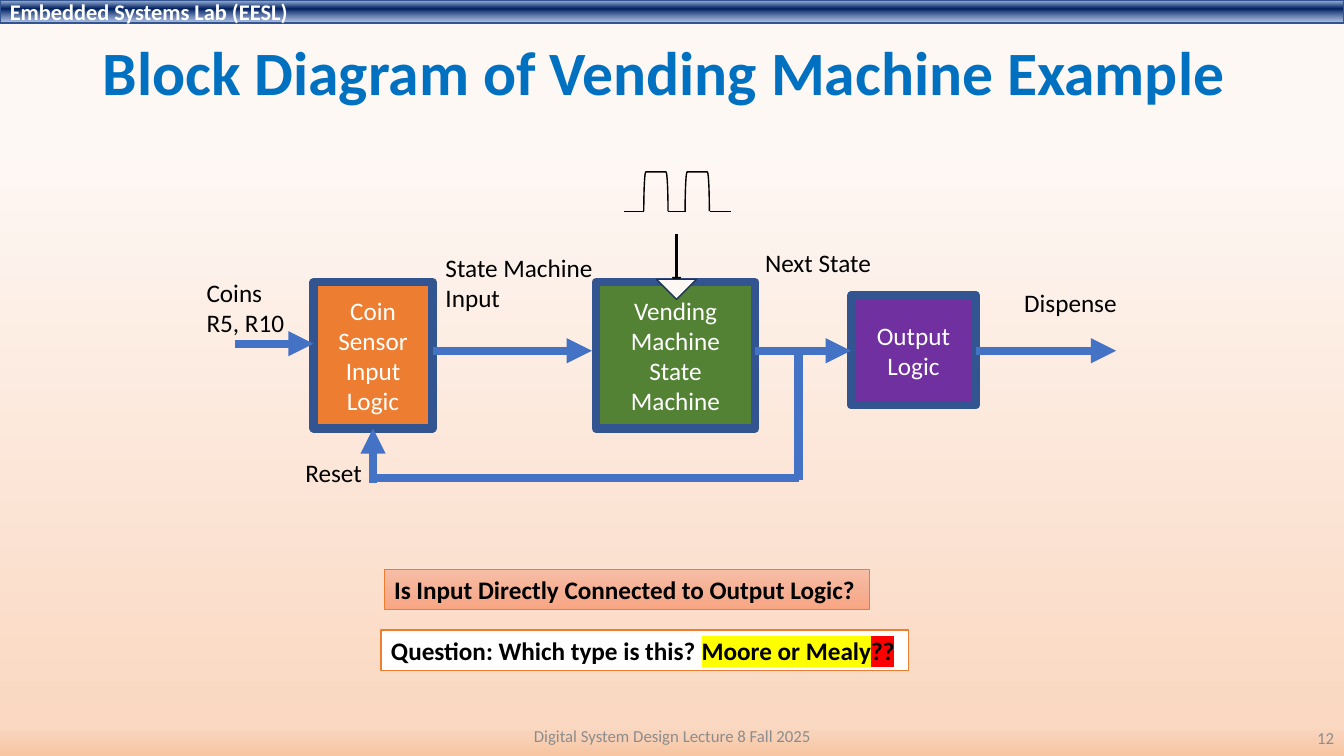
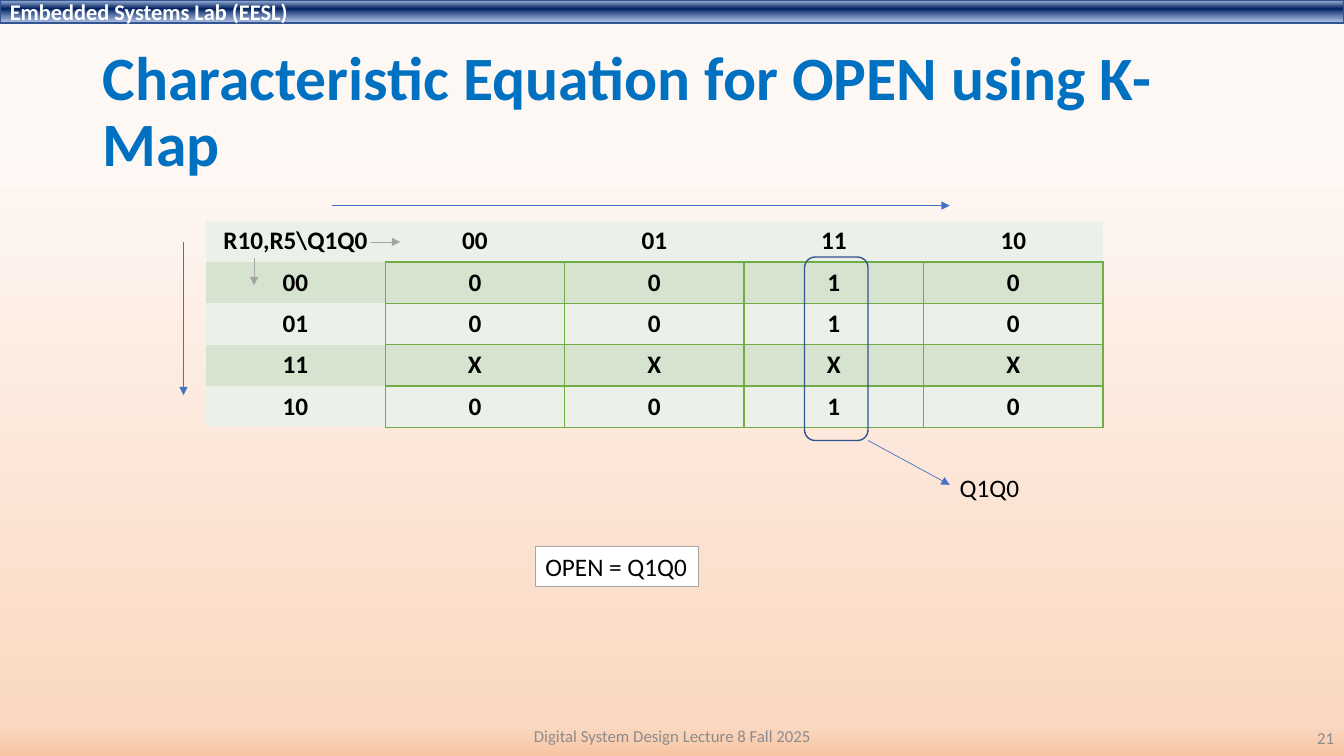
import pptx
import pptx.dml.color
import pptx.enum.shapes
import pptx.enum.text
import pptx.oxml.ns
import pptx.util
from lxml import etree

Inches, Pt, qn = pptx.util.Inches, pptx.util.Pt, pptx.oxml.ns.qn
SHAPE = pptx.enum.shapes.MSO_SHAPE
ANCHOR = pptx.enum.text.MSO_ANCHOR
ALIGN = pptx.enum.text.PP_ALIGN

FONT = "Calibri"
BLACK, WHITE, GRAY, FOOTER = "000000", "FFFFFF", "A5A5A5", "8C8C8C"
TITLE, BLUE, EDGE, ORANGE, GREEN = "0070C0", "4472C4", "325491", "ED7D31", "70AD47"
ROW_FILLS = ["EBF1E9", "D5E3CF"]
PAGE_STOPS = [(19, "FEF8F5", 97), (96, "FAD8C1", 100), (100, "F7C5A2", 100)]
BAND_STOPS = [(2, "ABC0E4", 100), (38, "002060", 100), (93, "7E9ED6", 64)]
NOTE_STOPS = [(0, "F7BDA5", 100), (50, "F5B196", 100), (100, "F8A582", 100)]


def rgb(color):
    return pptx.dml.color.RGBColor.from_string(color)


def sub(parent, tag, **attrs):
    return etree.SubElement(parent, qn(tag), attrs)


def gradient(fill, root, stops):
    """Fill top to bottom with (percent, colour, opacity) stops; root holds the fill."""
    fill.gradient()
    fill.gradient_angle = 270
    gs_list = next(root.iter(qn("a:gsLst")))
    for gs in list(gs_list):
        gs_list.remove(gs)
    for pos, color, opacity in stops:
        gs = sub(gs_list, "a:gs", pos=str(pos * 1000))
        clr = sub(gs, "a:srgbClr", val=color)
        if opacity < 100:
            sub(clr, "a:alpha", val=str(opacity * 1000))


def write(tf, text, size=18, color=BLACK, bold=False, align=ALIGN.LEFT,
          anchor=ANCHOR.TOP, wrap=True, spacing=None):
    """Text is a string, or a list of (text, highlight) runs for one paragraph."""
    tf.word_wrap = wrap
    tf.vertical_anchor = anchor
    if not wrap:
        tf.auto_size = pptx.enum.text.MSO_AUTO_SIZE.SHAPE_TO_FIT_TEXT
    lines = [[(t, None)] for t in text.split("\n")] if isinstance(text, str) else [text]
    for i, runs in enumerate(lines):
        p = tf.add_paragraph() if i else tf.paragraphs[0]
        p.alignment = align
        if spacing:
            p.line_spacing = spacing
        for run_text, highlight in runs:
            r = p.add_run()
            r.text = run_text
            r.font.size, r.font.bold = Pt(size), bold
            r.font.color.rgb = rgb(color)
            if highlight:
                sub(sub(r.font._element, "a:highlight"), "a:srgbClr", val=highlight)
            r.font.name = FONT


def label(s, x, y, w, h, text, **fmt):
    tb = s.shapes.add_textbox(Inches(x), Inches(y), Inches(w), Inches(h))
    write(tb.text_frame, text, **fmt)


def shape(s, kind, x, y, w, h, fill=None, line=EDGE, width=1.0, rotation=0):
    """Fill is a colour, a list of gradient stops or None."""
    sp = s.shapes.add_shape(kind, Inches(x), Inches(y), Inches(w), Inches(h))
    sp.shadow.inherit = False
    sp.rotation = rotation
    if fill is None:
        sp.fill.background()
    elif isinstance(fill, str):
        sp.fill.solid()
        sp.fill.fore_color.rgb = rgb(fill)
    else:
        gradient(sp.fill, sp._element, fill)
    sp.line.color.rgb = rgb(line)
    sp.line.width = Pt(width)
    return sp


def line(s, x1, y1, x2, y2, color=BLUE, width=0.5, arrow=True):
    c = s.shapes.add_connector(pptx.enum.shapes.MSO_CONNECTOR.STRAIGHT,
                               Inches(x1), Inches(y1), Inches(x2), Inches(y2))
    c.line.color.rgb = rgb(color)
    c.line.width = Pt(width)
    if arrow:
        sub(c.line._get_or_add_ln(), "a:tailEnd", type="triangle")
    sub(c._element.spPr, "a:effectLst")


def note(s, x, y, w, text, fill=WHITE, edge=ORANGE, width=1.0, bold=False):
    sp = shape(s, SHAPE.RECTANGLE, x, y, w, 0.4, fill, edge, width)
    write(sp.text_frame, text, bold=bold, wrap=False)


def base_slide(prs, title, number, top, height):
    s = prs.slides.add_slide(prs.slide_layouts[6])
    gradient(s.background.fill, s._element, PAGE_STOPS)
    band = shape(s, SHAPE.RECTANGLE, 0, 0, 13.33, 0.23, BAND_STOPS)
    write(band.text_frame, "Embedded Systems Lab (EESL)", size=16, color=WHITE,
          bold=True, anchor=ANCHOR.MIDDLE)
    label(s, 0.92, top, 11.5, height, title, size=44, color=TITLE, bold=True,
          anchor=ANCHOR.MIDDLE, spacing=0.9)
    label(s, 4.42, 7.1, 4.5, 0.4, "Digital System Design Lecture 8 Fall 2025",
          size=12, color=FOOTER, align=ALIGN.CENTER, anchor=ANCHOR.MIDDLE)
    label(s, 10.33, 7.12, 3, 0.4, str(number), size=12, color=FOOTER,
          align=ALIGN.RIGHT, anchor=ANCHOR.MIDDLE)
    return s


def clock(s, x, y):
    """Two pulses above an arrow into the clock input."""
    for dx in (0.12, 0.53):
        shape(s, SHAPE.LEFT_BRACKET, x + dx, y + 0.08, 0.39, 0.24, None, BLACK, rotation=90)
    for start, end in ((0, 0.2), (0.44, 0.61), (0.85, 1.06)):
        line(s, x + start, y + 0.4, x + end, y + 0.4, BLACK, 1, arrow=False)
    line(s, x + 0.52, y + 0.62, x + 0.52, y + 1.14, BLACK, 2.25)
    shape(s, SHAPE.ISOSCELES_TRIANGLE, x + 0.32, y + 1.07, 0.4, 0.2, "FEF8F5",
          "1E3256", rotation=180)


def block_diagram(s, x, y):
    blocks = [
        (1.16, 1.1, 1.18, 1.45, ORANGE, "Coin\nSensor\nInput Logic"),
        (3.96, 1.1, 1.58, 1.45, "548235", "Vending\nMachine\nState Machine"),
        (6.49, 1.23, 1.24, 1.09, "7030A0", "Output\nLogic"),
    ]
    for dx, dy, w, h, fill, text in blocks:
        sp = shape(s, SHAPE.RECTANGLE, x + dx, y + dy, w, h, fill, width=6)
        write(sp.text_frame, text, color=WHITE, align=ALIGN.CENTER, anchor=ANCHOR.MIDDLE)

    flow, tap, back, reset = 1.78, 5.97, 3.04, 1.75
    wires = [
        (0.38, 1.71, 1.16, 1.71, True),
        (2.34, flow, 3.92, flow, True),
        (5.54, flow, 6.49, flow, True),
        (7.73, flow, 9.12, flow, True),
        (tap, flow, tap, back + 0.02, False),
        (tap, back, reset, back, False),
        (reset, back + 0.05, reset, 2.55, True),
    ]
    for x1, y1, x2, y2, arrow in wires:
        line(s, x + x1, y + y1, x + x2, y + y2, width=6, arrow=arrow)

    labels = [
        (0, 1, 0.98, 0.71, "Coins\nR5, R10"),
        (0.98, 2.79, 0.77, 0.4, "Reset"),
        (2.37, 0.75, 1.68, 0.71, "State Machine\nInput"),
        (5.54, 0.7, 1.26, 0.4, "Next State"),
        (8.11, 1.1, 1.13, 0.4, "Dispense"),
    ]
    for dx, dy, w, h, text in labels:
        label(s, x + dx, y + dy, w, h, text, wrap=False)
    clock(s, x + 4.24, y)


def set_borders(cell, drawn):
    """Draw the sides named in drawn (letters of LRTB) and clear the others."""
    tc_pr = cell._tc.get_or_add_tcPr()
    for side in "LRTB":
        ln = sub(tc_pr, "a:ln" + side, w=str(Pt(1)))
        if side in drawn:
            sub(sub(ln, "a:solidFill"), "a:srgbClr", val=GREEN)
        else:
            sub(ln, "a:noFill")


def k_map(s, x, y, rows, col_w=1.78, row_h=0.41):
    n_rows, n_cols = len(rows), len(rows[0])
    table = s.shapes.add_table(n_rows, n_cols, Inches(x), Inches(y),
                               Inches(col_w * n_cols), Inches(row_h * n_rows)).table
    table.first_row = table.horz_banding = False
    for col in table.columns:
        col.width = Inches(col_w)
    for i, row in enumerate(rows):
        table.rows[i].height = Inches(row_h)
        for j, text in enumerate(row):
            cell = table.cell(i, j)
            write(cell.text_frame, text, bold=True, align=ALIGN.CENTER)
            if i and j:
                drawn = "LRTB"
            else:
                drawn = "R" if i else "B" if j else ""
            set_borders(cell, drawn)
            cell.fill.solid()
            cell.fill.fore_color.rgb = rgb(ROW_FILLS[i % 2])

    line(s, x - 0.22, y + 0.21, x - 0.22, y + 1.73)
    line(s, x + 1.25, y - 0.15, x + 7.38, y - 0.15)
    line(s, x + 1.64, y + 0.21, x + 1.93, y + 0.21, GRAY)
    line(s, x + 0.48, y + 0.37, x + 0.48, y + 0.64, GRAY)
    shape(s, SHAPE.ROUNDED_RECTANGLE, x + 5.94, y + 0.36, 0.63, 1.82)
    line(s, x + 6.57, y + 2.18, x + 7.38, y + 2.62)
    label(s, x + 7.38, y + 2.45, 0.8, 0.4, "Q1Q0", wrap=False)


def main():
    prs = pptx.Presentation()
    prs.slide_width, prs.slide_height = Inches(13.33), Inches(7.5)

    s = base_slide(prs, "Block Diagram of Vending Machine Example", 12, 0.27, 0.95)
    block_diagram(s, 1.95, 1.7)
    note(s, 3.81, 5.65, 4.81, "Is Input Directly Connected to Output Logic?",
         NOTE_STOPS, width=0.5, bold=True)
    note(s, 3.78, 6.25, 5.23, [("Question: Which type is this? ", None),
                               ("Moore or Mealy", "FFFF00"), ("??", "FF0000")], bold=True)

    s = base_slide(prs, "Characteristic Equation for OPEN using K-Map", 21, 0.4, 1.45)
    k_map(s, 2.04, 2.19, [
        ["R10,R5\\Q1Q0", "00", "01", "11", "10"],
        ["00", "0", "0", "1", "0"],
        ["01", "0", "0", "1", "0"],
        ["11", "X", "X", "X", "X"],
        ["10", "0", "0", "1", "0"],
    ])
    note(s, 5.31, 5.42, 1.62, "OPEN = Q1Q0", edge=GRAY)

    prs.save("out.pptx")


if __name__ == "__main__":
    main()
